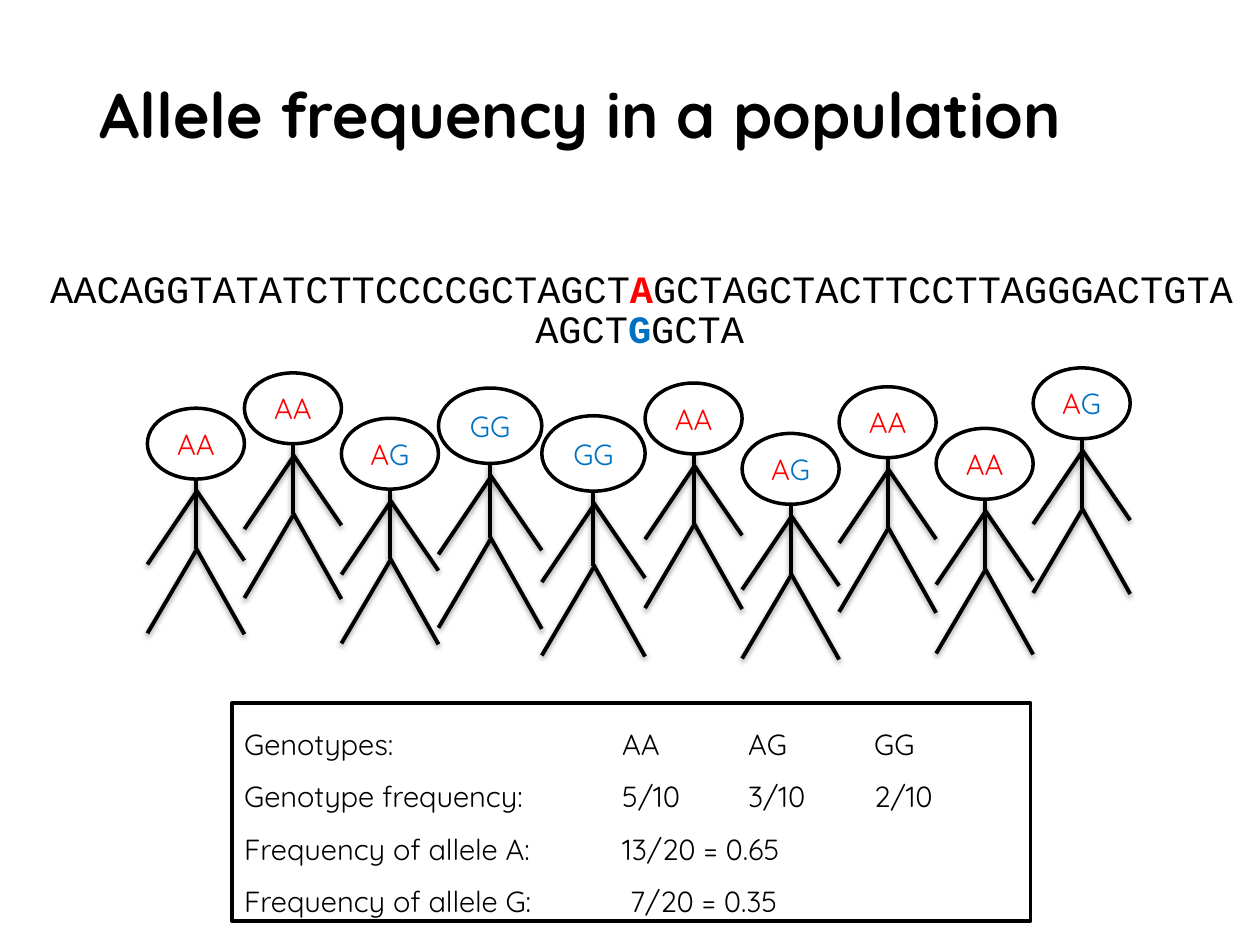
from dataclasses import dataclass

from lxml import etree
from pptx import Presentation
from pptx.dml.color import RGBColor
from pptx.enum import shapes, text
from pptx.oxml import ns
from pptx.util import Inches, Pt


@dataclass(frozen=True)
class Theme:
    ink: str = "000000"
    paper: str = "FFFFFF"
    allele_a: str = "FF0000"
    allele_g: str = "0070C0"
    heading_font: str = "Quicksand"
    sequence_font: str = "Courier New"
    title_size: float = 36
    sequence_size: float = 22.1
    label_size: float = 16.6
    outline: float = 2
    limb: float = 2.25


@dataclass(frozen=True)
class Person:
    genotype: str
    top: float
    width: float = 0.77


@dataclass(frozen=True)
class Sequence:
    before: str
    allele: str
    after: str
    left: float
    top: float
    width: float


@dataclass(frozen=True)
class Limb:
    start_y: float
    end_x: float
    end_y: float


THEME = Theme()
ALLELE_COLORS = {"A": THEME.allele_a, "G": THEME.allele_g}
CROWD_LEFT = 1.17
HEAD_RATIO = 0.73

PEOPLE = [
    Person("AA", 3.24),
    Person("AA", 2.96),
    Person("AG", 3.32),
    Person("GG", 3.08, 0.82),
    Person("GG", 3.3, 0.82),
    Person("AA", 3.04),
    Person("AG", 3.44),
    Person("AA", 3.07),
    Person("AA", 3.4),
    Person("AG", 2.92),
]

LIMBS = [
    Limb(HEAD_RATIO, 0.5, 1.45),
    Limb(1.47, 0, 2.32),
    Limb(1.44, 1, 2.33),
    Limb(0.87, 0, 1.61),
    Limb(0.84, 1, 1.57),
]

SEQUENCES = [
    Sequence("AACAGGTATATCTTCCCCGCTAGCT", "A", "GCTAGCTACTTCCTTAGGGACTGTA", 0.3, 2.05, 9.65),
    Sequence("AGCT", "G", "GCTA", 4.15, 2.37, 1.87),
]

FREQUENCIES = [
    ("Genotypes:", "AA", "AG", "GG"),
    ("Genotype frequency:", "5/10", "3/10", "2/10"),
    ("Frequency of allele A:", "13/20 = 0.65"),
    ("Frequency of allele G:", " 7/20 = 0.35"),
]
FREQUENCY_STOPS = (3, 4, 5)


def apply(target, values: dict) -> None:
    for name, value in values.items():
        setattr(target, name, value)


def write(paragraph, words: str, font: str, size: float, color: str, bold: bool = False) -> None:
    run = paragraph.add_run()
    run.text = words
    apply(run.font, {"name": font, "size": Pt(size), "bold": bold})
    run.font.color.rgb = RGBColor.from_string(color)


def outline(shape) -> None:
    shape.shadow.inherit = False
    shape.fill.solid()
    shape.fill.fore_color.rgb = RGBColor.from_string(THEME.paper)
    shape.line.color.rgb = RGBColor.from_string(THEME.ink)
    shape.line.width = Pt(THEME.outline)


def cast_shadow(connector) -> None:
    effects = etree.SubElement(connector._element.spPr, ns.qn("a:effectLst"))
    shadow = etree.SubElement(
        effects, ns.qn("a:outerShdw"),
        blurRad="40000", dist="20000", dir="5400000", rotWithShape="0",
    )
    color = etree.SubElement(shadow, ns.qn("a:srgbClr"), val=THEME.ink)
    etree.SubElement(color, ns.qn("a:alpha"), val="38000")


def set_tabs(paragraph, stops: tuple[float, ...]) -> None:
    tabs = etree.SubElement(paragraph._p.get_or_add_pPr(), ns.qn("a:tabLst"))
    for stop in stops:
        etree.SubElement(tabs, ns.qn("a:tab"), pos=str(Inches(stop)), algn="l")


def draw_title(slide) -> None:
    title = slide.shapes.title
    apply(title, {"left": Inches(0.69), "top": Inches(0.55),
                  "width": Inches(8.64), "height": Inches(1.35)})
    apply(title.text_frame, {"vertical_anchor": text.MSO_ANCHOR.TOP,
                             "auto_size": text.MSO_AUTO_SIZE.NONE, "word_wrap": True})
    heading = title.text_frame.paragraphs[0]
    heading.alignment = text.PP_ALIGN.LEFT
    write(heading, "Allele frequency in a population",
          THEME.heading_font, THEME.title_size, THEME.ink, True)


def draw_sequence(slide, sequence: Sequence) -> None:
    strand = slide.shapes.add_textbox(
        Inches(sequence.left), Inches(sequence.top), Inches(sequence.width), Inches(0.46))
    apply(strand.text_frame, {"word_wrap": False,
                              "auto_size": text.MSO_AUTO_SIZE.SHAPE_TO_FIT_TEXT})
    bases = strand.text_frame.paragraphs[0]
    for words, color, bold in (
        (sequence.before, THEME.ink, False),
        (sequence.allele, ALLELE_COLORS[sequence.allele], True),
        (sequence.after, THEME.ink, False),
    ):
        write(bases, words, THEME.sequence_font, THEME.sequence_size, color, bold)


def draw_person(slide, person: Person, left: float) -> None:
    body = slide.shapes.add_group_shape().shapes
    width, top = person.width, person.top
    head = body.add_shape(shapes.MSO_SHAPE.OVAL, Inches(left), Inches(top),
                          Inches(width), Inches(width * HEAD_RATIO))
    outline(head)
    head.text_frame.vertical_anchor = text.MSO_ANCHOR.MIDDLE
    genotype = head.text_frame.paragraphs[0]
    genotype.alignment = text.PP_ALIGN.CENTER
    for allele in person.genotype:
        write(genotype, allele, THEME.heading_font, THEME.label_size, ALLELE_COLORS[allele])
    for limb in LIMBS:
        stroke = body.add_connector(
            shapes.MSO_CONNECTOR.STRAIGHT,
            Inches(left + width / 2), Inches(top + limb.start_y * width),
            Inches(left + limb.end_x * width), Inches(top + limb.end_y * width))
        stroke.line.color.rgb = RGBColor.from_string(THEME.ink)
        stroke.line.width = Pt(THEME.limb)
        cast_shadow(stroke)


def draw_frequencies(slide) -> None:
    summary = slide.shapes.add_shape(shapes.MSO_SHAPE.RECTANGLE, Inches(1.84), Inches(5.58),
                                     Inches(6.34), Inches(1.73))
    outline(summary)
    frame = summary.text_frame
    apply(frame, {"word_wrap": True, "vertical_anchor": text.MSO_ANCHOR.TOP,
                  "auto_size": text.MSO_AUTO_SIZE.SHAPE_TO_FIT_TEXT})
    for index, cells in enumerate(FREQUENCIES):
        row = frame.add_paragraph() if index else frame.paragraphs[0]
        apply(row, {"alignment": text.PP_ALIGN.LEFT, "line_spacing": 1.5})
        set_tabs(row, FREQUENCY_STOPS)
        write(row, "\t".join(cells), THEME.heading_font, THEME.label_size, THEME.ink)


def main() -> None:
    deck = Presentation()
    apply(deck, {"slide_width": Inches(10), "slide_height": Inches(7.5)})
    slide = deck.slides.add_slide(deck.slide_layouts[5])
    draw_title(slide)
    for sequence in SEQUENCES:
        draw_sequence(slide, sequence)
    left = CROWD_LEFT
    for person in PEOPLE:
        draw_person(slide, person, left)
        left += person.width
    draw_frequencies(slide)
    deck.save("out.pptx")


if __name__ == "__main__":
    main()
